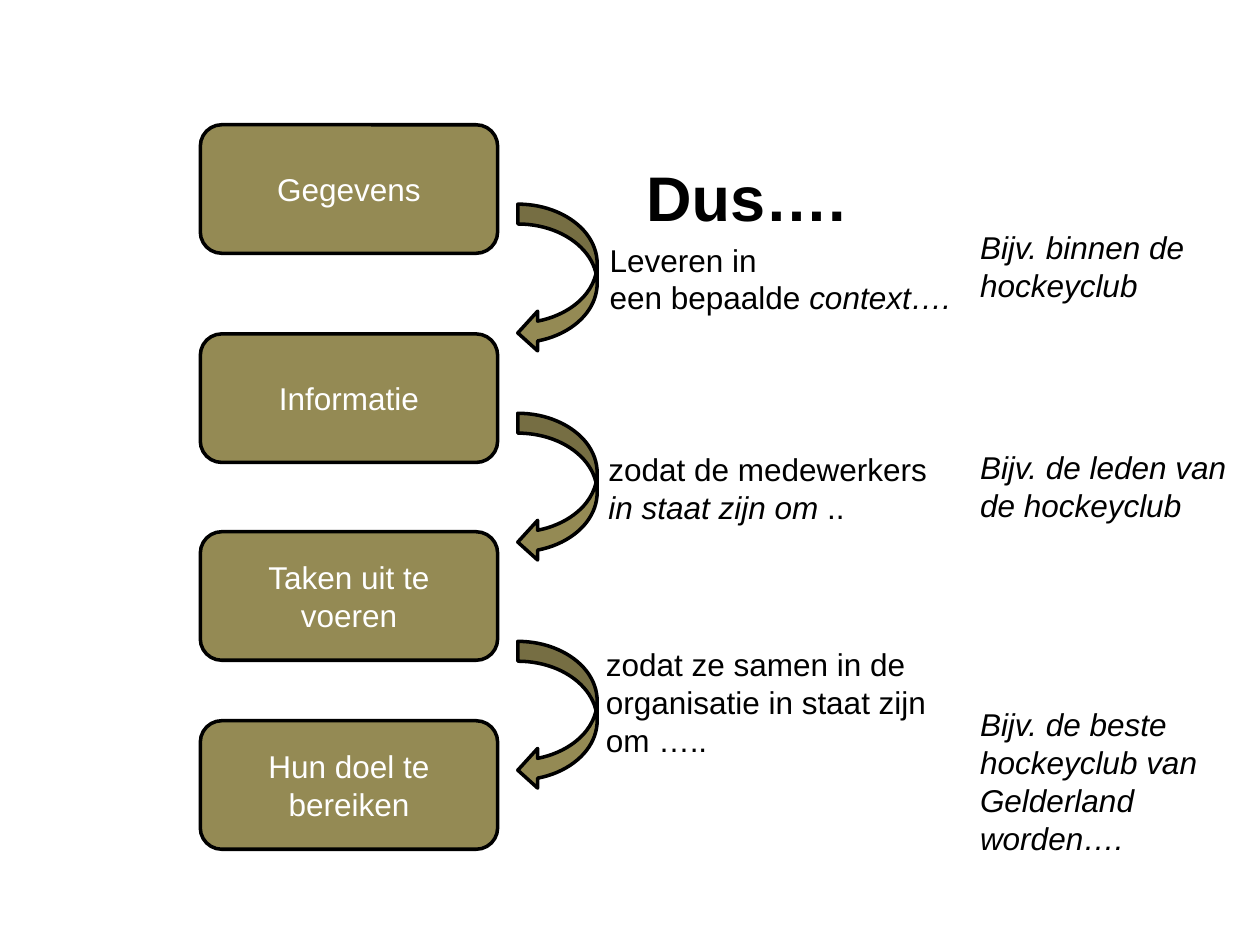
from pptx import Presentation
from pptx.dml.color import RGBColor
from pptx.enum.shapes import MSO_SHAPE as Shape
from pptx.enum.text import MSO_ANCHOR as Anchor, PP_ALIGN as Align
from pptx.util import Inches, Pt

COLORS = {"olive": "948A54", "black": "000000", "white": "FFFFFF"}
FONT = "Arial"

# Flow from data to goal: label and top of each box
STEPS = [
    ("Gegevens", 0.99),
    ("Informatie", 2.65),
    ("Taken uit te voeren", 4.22),
    ("Hun doel te bereiken", 5.72),
]
ARROW_TOPS = [1.62, 3.28, 5.09]

# Each paragraph is a list of (text, italic) runs
EXPLANATIONS = [
    ((4.74, 1.86, 2.94, 0.71),
     [[("Leveren in", False)],
      [("een bepaalde ", False), ("context….", True)]]),
    ((4.73, 3.52, 3.02, 0.71),
     [[("zodat de medewerkers", False)],
      [("in staat zijn om ", True), ("..", False)]]),
    ((4.71, 5.07, 3, 1.01),
     [[("zodat ze samen in de", False)],
      [("organisatie in staat zijn om …..", False)]]),
]
# Example and the space above it in points
EXAMPLES = [
    ("Bijv. binnen de hockeyclub", 0),
    ("Bijv. de leden van de hockeyclub", 82.8),
    ("Bijv. de beste hockeyclub van Gelderland worden….", 103.5),
]


def color(name):
    return RGBColor.from_string(COLORS[name])


def write_text(shape, paragraphs, size=18, ink="black", bold=False,
               align=Align.LEFT, anchor=Anchor.TOP, wrap=True, spacing=None):
    frame = shape.text_frame
    frame.word_wrap = wrap
    frame.vertical_anchor = anchor
    for index, runs in enumerate(paragraphs):
        paragraph = frame.add_paragraph() if index else frame.paragraphs[0]
        paragraph.alignment = align
        if spacing:
            paragraph.space_before = Pt(spacing[index])
        for text, italic in runs:
            run = paragraph.add_run()
            run.text = text
            font = run.font
            font.name, font.size = FONT, Pt(size)
            font.bold, font.italic = bold, italic
            font.color.rgb = color(ink)


def add_text(slide, box, paragraphs, **text_format):
    shape = slide.shapes.add_textbox(*map(Inches, box))
    write_text(shape, paragraphs, **text_format)


def add_olive_shape(slide, kind, box):
    shape = slide.shapes.add_shape(kind, *map(Inches, box))
    shape.shadow.inherit = False
    shape.fill.solid()
    shape.fill.fore_color.rgb = color("olive")
    shape.line.color.rgb = color("black")
    shape.line.width = Pt(2)
    return shape


def add_flow(slide, left, width, height):
    # Step boxes
    for label, top in STEPS:
        shape = add_olive_shape(slide, Shape.ROUNDED_RECTANGLE,
                                (left, top, width, height))
        write_text(shape, [[(label, False)]], ink="white",
                   align=Align.CENTER, anchor=Anchor.MIDDLE)
    # Curved arrows to the right of the boxes
    for top in ARROW_TOPS:
        add_olive_shape(slide, Shape.CURVED_LEFT_ARROW,
                        (left + width + 0.16, top, 0.63, 1.18))


def add_explanations(slide):
    for index, (box, paragraphs) in enumerate(EXPLANATIONS):
        add_text(slide, box, paragraphs, wrap=index > 0)


def add_examples(slide, box):
    add_text(slide, box, [[(text, True)] for text, _ in EXAMPLES],
             spacing=[space for _, space in EXAMPLES])


def main():
    presentation = Presentation()
    presentation.slide_width, presentation.slide_height = Inches(10), Inches(7.5)
    slide = presentation.slides.add_slide(presentation.slide_layouts[6])
    # Title
    add_text(slide, (5.03, 1.2, 4.67, 0.71), [[("Dus….", False)]],
             size=36, bold=True, anchor=Anchor.MIDDLE)
    add_flow(slide, left=1.59, width=2.36, height=1.02)
    add_explanations(slide)
    add_examples(slide, (7.68, 1.76, 2.2, 5.25))
    presentation.save("out.pptx")


if __name__ == "__main__":
    main()
